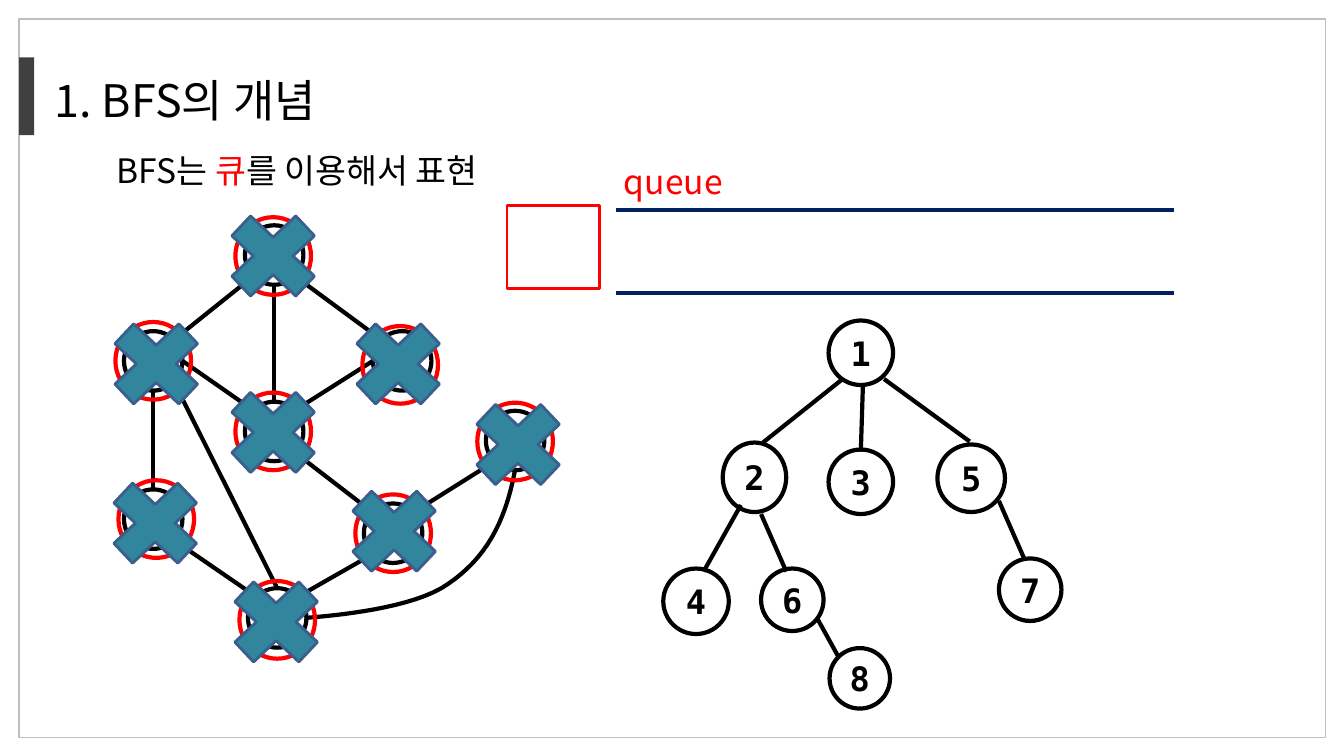
from dataclasses import dataclass
from math import cos, radians, sin

from lxml import etree
from pptx import Presentation
from pptx.dml.color import RGBColor
from pptx.enum.shapes import MSO_CONNECTOR, MSO_SHAPE
from pptx.enum.text import MSO_ANCHOR, MSO_AUTO_SIZE, PP_ALIGN
from pptx.oxml.ns import qn
from pptx.util import Inches, Pt

OVAL, RECTANGLE, CROSS = MSO_SHAPE.OVAL, MSO_SHAPE.RECTANGLE, MSO_SHAPE.MATH_MULTIPLY
STRAIGHT = MSO_CONNECTOR.STRAIGHT
TOP, MIDDLE = MSO_ANCHOR.TOP, MSO_ANCHOR.MIDDLE
LEFT, CENTER = PP_ALIGN.LEFT, PP_ALIGN.CENTER


@dataclass(frozen=True)
class Theme:
    ink: str = "000000"
    accent: str = "FF0000"
    frame: str = "BFBFBF"
    tab: str = "404040"
    queue: str = "002060"
    cross: str = "31859C"
    cross_edge: str = "3A5F8C"
    text_font: str = "Noto Sans CJK KR"
    digit_font: str = "DejaVu Sans Mono"
    title_size: int = 32
    text_size: int = 24
    thick: int = 3
    medium: int = 2
    thin: int = 1


THEME = Theme()

# All lengths are columns and rows of a square grid, ten cells to the inch.
CELL = Inches(0.1)
COLUMNS, ROWS = 133.33, 75

TITLE = [("1. BFS의 개념", THEME.ink)]
SUBTITLE = [("BFS는 ", THEME.ink), ("큐", THEME.accent), ("를 이용해서 표현", THEME.ink)]
QUEUE_LABEL = [("queue", THEME.accent)]
TITLE_BOX = (4.4, 6.7, 46.5, 6.4)
SUBTITLE_BOX = (10.6, 14.4, 53.1, 5)
QUEUE_LABEL_BOX = (60.9, 15.5, 53.1, 5)

FRAME_BOX = (1.9, 1.9, 129.6, 71.3)
TAB_BOX = (1.9, 5.7, 1.5, 7.7)
DEQUEUED_BOX = (50.3, 20.4, 9.2, 8.2)
QUEUE_COLUMNS, QUEUE_ROWS = (61.1, 116.5), (20.8, 29.1)

NODE_SIZE, RING_SIZE, CROSS_SIZE = (5.8, 5.9), (7.5, 7.7), (12.2, 11.5)
# Centres of the node, its red ring and its cross
GRAPH = {
    "A": ((27.2, 25.3), (27.1, 25.4), (27.1, 25.4)),
    "B": ((15.2, 35.8), (15.2, 35.8), (15.5, 36.1)),
    "C": ((39.9, 35.8), (39.7, 36.2), (39.5, 36.1)),
    "D": ((15.2, 51.5), (15.5, 51.5), (15.4, 51.9)),
    "E": ((27.2, 42.8), (27.1, 42.8), (27.1, 42.9)),
    "F": ((39.0, 52.9), (39.0, 52.9), (39.1, 52.7)),
    "G": ((27.5, 61.3), (27.5, 61.5), (27.4, 61.7)),
    "H": ((51.1, 43.7), (51.1, 43.8), (51.4, 44.1)),
}
COMPASS = {"E": 0, "SE": 45, "S": 90, "SW": 135, "W": 180, "NW": 225, "N": 270, "NE": 315}
GRAPH_EDGES = [
    ("A", "SW", "B", "NE"), ("B", "S", "D", "N"), ("C", "NW", "A", "SE"),
    ("E", "NE", "C", "W"), ("F", "NW", "E", "SE"), ("E", "N", "A", "S"),
    ("G", "NE", "F", "SW"), ("D", "SE", "G", "NW"), ("F", "NE", "H", "SW"),
    ("E", "NW", "B", "E"), ("B", "SE", "G", "N"),
]
# Two Bezier pieces that share their middle point
CURVED_EDGE = [
    ((51.1, 46.6), (50.1, 52.1), (48, 55.5), (44.5, 57.9)),
    ((44.5, 57.9), (41.1, 60.4), (32.9, 61.1), (30.4, 61.3)),
]
CURVE_STEPS = 16

# Label, centre, size
TREE = [
    ("1", (85.4, 35), (6.4, 6.4)), ("2", (74.85, 47.35), (6.3, 6.9)),
    ("3", (85.4, 47.8), (6.4, 6.4)), ("5", (96.35, 47.45), (6.7, 6.7)),
    ("4", (69.05, 59.65), (6.5, 6.5)), ("6", (78.6, 59.5), (6.2, 6.2)),
    ("7", (102.2, 58.5), (6.2, 6.2)), ("8", (85.3, 67.3), (6, 6)),
]
TREE_EDGES = [
    ((83.6, 37.6), (75.7, 43.9)), ((87.7, 37.6), (96.2, 43.8)),
    ((85.6, 38.4), (85.4, 44.8)), ((73.5, 50.1), (69.8, 56.7)),
    ((75.5, 51), (78, 56.7)), ((99.1, 49.7), (101.6, 55.4)),
    ((81.1, 61.4), (83.2, 65.2)),
]


def cells(*values):
    return [round(value * CELL) for value in values]


def centred(centre, size):
    return (centre[0] - size[0] / 2, centre[1] - size[1] / 2, *size)


def rim(name, direction):
    """Point on a graph node's outline in a compass direction."""
    (x, y), angle = GRAPH[name][0], radians(COMPASS[direction])
    return x + NODE_SIZE[0] / 2 * cos(angle), y + NODE_SIZE[1] / 2 * sin(angle)


def bezier(points, t):
    weights = ((1 - t) ** 3, 3 * t * (1 - t) ** 2, 3 * t * t * (1 - t), t ** 3)
    return [sum(w * point[axis] for w, point in zip(weights, points)) for axis in (0, 1)]


def paint(shape, fill=None, line=None, width=THEME.thick):
    shape.shadow.inherit = False
    if fill:
        shape.fill.solid()
        shape.fill.fore_color.rgb = RGBColor.from_string(fill)
    else:
        shape.fill.background()
    if line:
        shape.line.color.rgb = RGBColor.from_string(line)
        shape.line.width = Pt(width)
    else:
        shape.line.fill.background()


def add_shape(page, kind, box, **look):
    shape = page.shapes.add_shape(kind, *cells(*box))
    paint(shape, **look)
    return shape


def add_line(page, start, end, color=THEME.ink):
    line = page.shapes.add_connector(STRAIGHT, *cells(*start, *end))
    line.line.color.rgb = RGBColor.from_string(color)
    line.line.width = Pt(THEME.thick)
    etree.SubElement(line._element.spPr, qn("a:effectLst"))


def write(shape, spans, size, font=THEME.text_font, align=LEFT, anchor=TOP, bold=False):
    frame = shape.text_frame
    frame.auto_size, frame.word_wrap = MSO_AUTO_SIZE.NONE, True
    frame.vertical_anchor = anchor
    para = frame.paragraphs[0]
    para.alignment, para.line_spacing, para.space_before = align, 1.0, Pt(0)
    for text, color in spans:
        span = para.add_run()
        span.text = text
        span.font.name, span.font.size, span.font.bold = font, Pt(size), bold
        span.font.color.rgb = RGBColor.from_string(color)
        etree.SubElement(span._r.get_or_add_rPr(), qn("a:ea"), typeface=font)


def place(shape, box):
    shape.left, shape.top, shape.width, shape.height = cells(*box)


def add_texts(page):
    title, body = page.shapes.title, page.placeholders[1]
    place(title, TITLE_BOX)
    write(title, TITLE, THEME.title_size)
    place(body, SUBTITLE_BOX)
    write(body, SUBTITLE, THEME.text_size)
    properties = body.text_frame.paragraphs[0]._p.get_or_add_pPr()
    properties.set("marL", "0")
    properties.set("indent", "0")
    etree.SubElement(properties, qn("a:buNone"))
    write(page.shapes.add_textbox(*cells(*QUEUE_LABEL_BOX)), QUEUE_LABEL, THEME.text_size)


def add_graph(page):
    for node, _, _ in GRAPH.values():
        add_shape(page, OVAL, centred(node, NODE_SIZE), line=THEME.ink)
    for start, leaving, end, arriving in GRAPH_EDGES:
        add_line(page, rim(start, leaving), rim(end, arriving))
    points = [cells(*bezier(piece, step / CURVE_STEPS))
              for piece in CURVED_EDGE for step in range(CURVE_STEPS + 1)]
    builder = page.shapes.build_freeform(*points[0])
    builder.add_line_segments(points[1:], close=False)
    paint(builder.convert_to_shape(), line=THEME.ink)
    for _, ring, cross in GRAPH.values():
        add_shape(page, OVAL, centred(ring, RING_SIZE), line=THEME.accent)
        add_shape(page, CROSS, centred(cross, CROSS_SIZE), fill=THEME.cross,
                  line=THEME.cross_edge, width=THEME.medium)


def add_tree(page):
    for start, end in TREE_EDGES:
        add_line(page, start, end)
    for label, centre, size in TREE:
        node = add_shape(page, OVAL, centred(centre, size), line=THEME.ink)
        write(node, [(label, THEME.ink)], THEME.text_size, THEME.digit_font, CENTER, MIDDLE, True)
        frame = node.text_frame
        frame.margin_left = frame.margin_right = frame.margin_top = frame.margin_bottom = 0


def main():
    deck = Presentation()
    deck.slide_width, deck.slide_height = cells(COLUMNS, ROWS)
    page = deck.slides.add_slide(deck.slide_layouts[1])
    add_shape(page, RECTANGLE, FRAME_BOX, line=THEME.frame, width=THEME.thin)
    add_shape(page, RECTANGLE, TAB_BOX, fill=THEME.tab)
    add_texts(page)
    for row in QUEUE_ROWS:
        add_line(page, (QUEUE_COLUMNS[0], row), (QUEUE_COLUMNS[1], row), THEME.queue)
    add_shape(page, RECTANGLE, DEQUEUED_BOX, line=THEME.accent, width=THEME.medium)
    add_graph(page)
    add_tree(page)
    deck.save("out.pptx")


if __name__ == "__main__":
    main()
